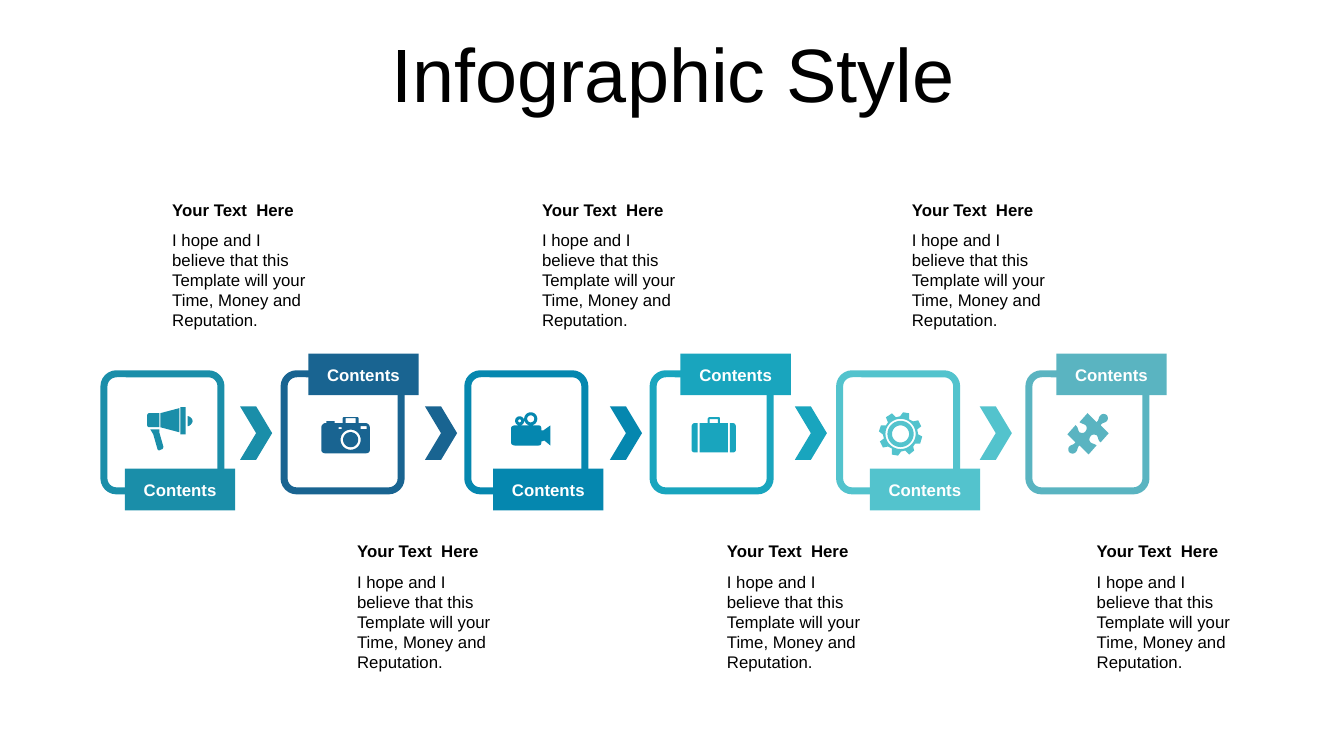
from math import cos, pi, sin

from pptx import Presentation
from pptx.dml.color import RGBColor
from pptx.enum.shapes import MSO_SHAPE as Shape
from pptx.enum.text import MSO_ANCHOR as Anchor, PP_ALIGN as Align
from pptx.util import Cm, Pt

HEADING = "Your Text  Here"
BODY = "I hope and I believe that this Template will your Time, Money and Reputation."
FONT = {"name": "Arial", "size": Pt(12), "bold": False}
UNIT = Cm(0.0254)  # grid on which the icons are drawn


def color(fill_or_font, hex_value):
    if hasattr(fill_or_font, "solid"):
        fill_or_font.solid()
        fill_or_font.fore_color.rgb = RGBColor.from_string(hex_value)
    else:
        fill_or_font.color.rgb = RGBColor.from_string(hex_value)


def write(shape, text, hex_value, align=Align.LEFT, anchor=Anchor.TOP, **font):
    frame = shape.text_frame
    frame.word_wrap = True
    frame.vertical_anchor = anchor
    paragraph = frame.paragraphs[0]
    paragraph.text = text
    paragraph.alignment = align
    for name, value in {**FONT, **font}.items():
        setattr(paragraph.font, name, value)
    color(paragraph.font, hex_value)
    return paragraph


def add_block(slide, kind, left, top, width, height, hex_value):
    shape = slide.shapes.add_shape(kind, Cm(left), Cm(top), Cm(width), Cm(height))
    shape.shadow.inherit = False
    color(shape.fill, hex_value)
    shape.line.fill.background()
    return shape


# Icon outlines: pairs are corners, groups of six are Bezier curves
def circle(x, y, radius, steps=36):
    angles = [2 * pi * step / steps for step in range(steps)]
    return [(x + radius * cos(angle), y + radius * sin(angle)) for angle in angles]


def box(left, top, right, bottom):
    return [(left, top), (right, top), (right, bottom), (left, bottom)]


def flip(outline, width, height=None):
    """Mirror across the width, and across the height too if it is given."""
    return [tuple(width - value if index % 2 == 0 else
                  value if height is None else height - value
                  for index, value in enumerate(step)) for step in outline]


def flatten(outline, steps=8):
    points = [outline[0]]
    for step in outline[1:]:
        if len(step) == 2:
            points.append(step)
            continue
        controls = [points[-1], step[:2], step[2:4], step[4:]]
        for t in (number / steps for number in range(1, steps + 1)):
            weights = ((1 - t) ** 3, 3 * t * (1 - t) ** 2, 3 * t * t * (1 - t), t ** 3)
            points.append(tuple(sum(weight * control[axis] for weight, control
                                    in zip(weights, controls)) for axis in (0, 1)))
    return [(x * UNIT, y * UNIT) for x, y in points]


MEGAPHONE = [
    [(12, 22), (12, 25), (16, 39), (16, 41, 15, 42, 14, 42), (12, 43),
     (11, 43, 10, 42, 10, 41), (6, 27), (3, 22)],
    [(40, 9), (42, 9, 45, 11, 45, 14), (45, 16, 42, 19, 40, 19)],
    [(12, 6), (12, 20), (2, 20), (1, 20, 0, 19, 0, 18), (0, 8), (0, 7, 1, 6, 2, 6)],
    [(32, 1), (32, 25), (13, 20), (13, 6)],
    box(33, 0, 38, 27),
]
CAMERA = [
    [(22, 0), (36, 0), (37, 1), (37, 6), (44, 6), (46, 6, 48, 8, 48, 10), (48, 33),
     (48, 35, 46, 36, 44, 36), (4, 36), (2, 36, 0, 35, 0, 33), (0, 10),
     (0, 8, 2, 6, 4, 6), (5, 6), (5, 4), (13, 4), (13, 6), (21, 6), (21, 1)],
    circle(29, 22.5, 10), circle(29, 22.5, 7.5),
    box(17, 10, 20, 12), box(39, 9, 45, 12), box(24, 1, 34, 6),
]
VIDEO = [
    [(4, 13), (27, 13), (29, 13, 30, 14, 30, 16), (30, 18), (32, 18), (39, 13),
     (39, 33), (33, 28), (30, 29), (30, 30), (30, 32, 29, 33, 27, 33), (4, 33),
     (2, 33, 0, 32, 0, 30), (0, 16), (0, 14, 2, 13, 4, 13)],
    circle(8.5, 8.5, 4.5), circle(8.5, 8.5, 1.5),
    circle(19.5, 6.5, 6.5), circle(19.5, 6.5, 3.5),
]
CASE_END = [(38, 6), (41, 6), (43, 6, 44, 8, 44, 10), (44, 32),
            (44, 34, 43, 35, 41, 35), (38, 35)]
CASE = [
    CASE_END, flip(CASE_END, 44),
    [(18, 0), (27, 0), (28, 0, 28, 1, 28, 2), (28, 6), (36, 6), (36, 35), (8, 35),
     (8, 6), (16, 6), (16, 2), (16, 1, 17, 0, 18, 0)],
    box(18, 2, 26, 6),
]
GEAR = [
    [(24, 0), (30, 1), (30, 7), (34, 9), (39, 8), (42, 14), (38, 17), (39, 22),
     (43, 24), (41, 31), (36, 31), (34, 34), (35, 38), (30, 42), (26, 38), (22, 39),
     (19, 43), (13, 42), (13, 36), (9, 34), (4, 35), (1, 29), (5, 26), (4, 22),
     (0, 19), (2, 13), (7, 13), (9, 10), (7, 5), (13, 1), (17, 5), (21, 4)],
    circle(21.5, 21.5, 15), circle(21.5, 21.5, 13), circle(21.5, 21.5, 8.5),
]
PUZZLE_HALF = [
    (39, 2), (40, 3, 41, 6, 39, 8), (37, 10, 35, 9, 33, 12), (41, 20), (33, 29),
    (30, 27, 31, 24, 29, 22), (27, 21, 24, 21, 23, 23), (22, 24, 21, 27, 23, 29),
    (26, 31, 26, 30, 29, 32), (21, 41), (12, 32), (9, 35, 11, 36, 8, 39),
    (6, 41, 3, 40, 2, 39)]
PUZZLE = [PUZZLE_HALF + flip(PUZZLE_HALF, 41, 41)[1:]]

# Colour, frame left, tag offset, icon, icon offset (cm)
STEPS = [
    ("1A8EA9", 2.62, 0.53, MEGAPHONE, (1.09, 0.84)),
    ("196491", 7.16, 0.61, CAMERA, (0.94, 1.09)),
    ("0587AF", 11.79, 0.64, VIDEO, (1.09, 0.97)),
    ("19A5BE", 16.46, 0.69, CASE, (0.97, 1.09)),
    ("53C3CD", 21.16, 0.76, GEAR, (0.99, 0.97)),
    ("5AB4C1", 25.93, 0.69, PUZZLE, (0.97, 0.99)),
]
PITCH = 4.66


def add_icon(slide, outlines, left, top, hex_value):
    first, *others = [flatten(outline) for outline in outlines]
    builder = slide.shapes.build_freeform(*first[0], scale=1.0)
    builder.add_line_segments(first[1:], close=True)
    for points in others:
        builder.move_to(*points[0])
        builder.add_line_segments(points[1:], close=True)
    icon = builder.convert_to_shape(Cm(left), Cm(top))
    icon.shadow.inherit = False
    color(icon.fill, hex_value)
    icon.line.fill.background()


def add_title(slide, left, top, width, height):
    title = slide.shapes.title
    bounds = {"left": left, "top": top, "width": width, "height": height}
    for name, value in bounds.items():
        setattr(title, name, Cm(value))
    paragraph = write(title, "Infographic Style", "000000", Align.CENTER,
                      Anchor.MIDDLE, size=Pt(54))
    paragraph.line_spacing = 0.9


def add_step(slide, left, top, size, hex_value, tag_left, tag_top, icon, icon_offset):
    # Outlined frame
    frame = add_block(slide, Shape.ROUNDED_RECTANGLE, left, top, size, size, "FFFFFF")
    frame.adjustments[0] = 0.107
    color(frame.line.fill, hex_value)
    frame.line.width = Pt(5)
    # Tag across the edge
    tag = add_block(slide, Shape.RECTANGLE, left + tag_left, top + tag_top,
                    2.78, 1.05, hex_value)
    write(tag, "Contents", "FFFFFF", Align.CENTER, Anchor.MIDDLE, bold=True)
    # Icon
    add_icon(slide, icon, left + icon_offset[0], top + icon_offset[1], hex_value)


def add_caption(slide, left, top, width):
    for text, offset, height, bold in ((HEADING, 0, 0.76, True), (BODY, 0.76, 2.82, False)):
        text_box = slide.shapes.add_textbox(Cm(left), Cm(top + offset), Cm(width), Cm(height))
        write(text_box, text, "000000", bold=bold)


def main():
    presentation = Presentation()
    presentation.slide_width, presentation.slide_height = Cm(33.87), Cm(19.05)
    slide = presentation.slides.add_slide(presentation.slide_layouts[5])
    add_title(slide, 0.89, 0.79, 32.16, 2.34)
    for index, (hex_value, left, tag_left, icon, icon_offset) in enumerate(STEPS):
        low = index % 2 == 0  # tags low and captions high, then the reverse
        add_step(slide, left, 9.42, 2.95, hex_value, tag_left,
                 2.39 if low else -0.51, icon, icon_offset)
        add_caption(slide, 4.09 + PITCH * index, 4.9 if low else 13.51, 3.91)
        # Arrow to the next step
        if index < len(STEPS) - 1:
            add_block(slide, Shape.CHEVRON, 6.05 + PITCH * index, 10.24, 0.81, 1.35, hex_value)
    presentation.save("out.pptx")


if __name__ == "__main__":
    main()
